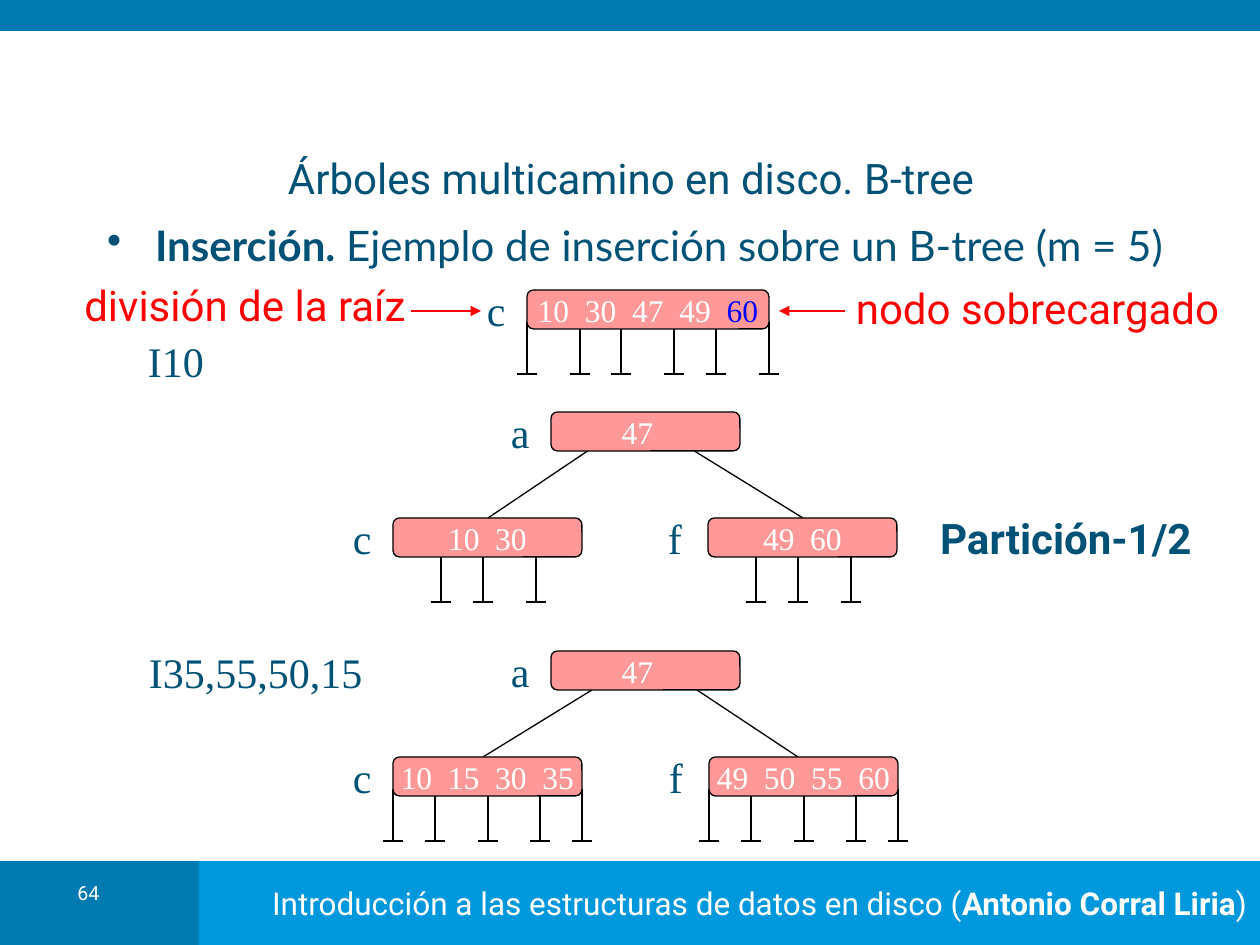
"""Build a slide showing B-tree insertion and node splitting."""
from dataclasses import dataclass

from lxml.etree import SubElement
from pptx import Presentation
from pptx.dml.color import RGBColor
from pptx.enum.shapes import MSO_CONNECTOR, MSO_SHAPE
from pptx.enum.text import MSO_ANCHOR, PP_ALIGN
from pptx.oxml.ns import qn
from pptx.shapes.base import BaseShape
from pptx.slide import Slide
from pptx.text.text import _Paragraph
from pptx.util import Emu, Pt

EMU_PER_PIXEL = 914400 / 126


@dataclass(frozen=True)
class Theme:
    dark_blue: str = "007AB1"
    light_blue: str = "0098DC"
    ink: str = "005176"
    white: str = "FFFFFF"
    black: str = "000000"
    red: str = "FF0000"
    key_blue: str = "0000FF"
    node: str = "FF9999"
    sans: str = "Roboto"
    body: str = "Lato"
    serif: str = "Times New Roman"
    large: float = 24
    medium: float = 18
    small: float = 11.2
    line: float = 0.75


THEME = Theme()


@dataclass(frozen=True)
class Box:
    left: int
    top: int
    width: int
    height: int


@dataclass(frozen=True)
class Run:
    text: str
    color: str = THEME.ink
    bold: bool = False


@dataclass(frozen=True)
class TextStyle:
    font: str = THEME.sans
    size: float = THEME.large
    align: PP_ALIGN = PP_ALIGN.CENTER
    anchor: MSO_ANCHOR = MSO_ANCHOR.MIDDLE
    wrap: bool = True
    margins: tuple[int, int, int, int] = (13, 6, 13, 6)


@dataclass(frozen=True)
class Line:
    start: tuple[int, int]
    end: tuple[int, int]
    color: str = THEME.black
    arrow: bool = False


@dataclass(frozen=True)
class Node:
    name: str
    box: Box
    keys: tuple[Run, ...]
    stems: tuple[int, ...] = ()
    right_margin: int = 0


SERIF_LABEL = TextStyle(THEME.serif, align=PP_ALIGN.LEFT, anchor=MSO_ANCHOR.TOP)
ROOT_KEYS = (Run("47", THEME.white),)
HALF_STEMS = (48, 90, 143)
FULL_STEMS = (0, 42, 95, 147, 189)

NODES = (
    Node("c", Box(527, 290, 242, 39),
         (Run("10  30  47  49  ", THEME.white), Run("60", THEME.key_blue)),
         (0, 53, 94, 147, 189, 242)),
    Node("a", Box(551, 412, 189, 39), ROOT_KEYS, right_margin=16),
    Node("c", Box(393, 518, 189, 39), (Run("10  30", THEME.white),), HALF_STEMS),
    Node("f", Box(708, 518, 189, 39), (Run("49  60", THEME.white),), HALF_STEMS),
    Node("a", Box(551, 651, 189, 39), ROOT_KEYS, right_margin=16),
    Node("c", Box(393, 757, 189, 39), (Run("10  15  30  35", THEME.white),), FULL_STEMS),
    Node("f", Box(709, 757, 189, 39), (Run("49  50  55  60", THEME.white),), FULL_STEMS),
)

LINES = (
    Line((598, 444), (488, 518)),
    Line((683, 444), (803, 518)),
    Line((592, 690), (483, 757)),
    Line((697, 690), (798, 757)),
    Line((845, 311), (779, 311), THEME.red, True),
    Line((411, 311), (481, 311), THEME.red, True),
)

LABELS = (
    (Box(105, 151, 1052, 53), Run("Árboles multicamino en disco. B-tree"),
     TextStyle(margins=(0, 0, 0, 0))),
    (Box(916, 506, 300, 63), Run("Partición-1/2", bold=True), TextStyle()),
    (Box(842, 251, 391, 113), Run("nodo sobrecargado", THEME.red), TextStyle()),
    (Box(68, 248, 354, 113), Run("división de la raíz", THEME.red), TextStyle()),
    (Box(135, 330, 98, 63), Run("I10"), SERIF_LABEL),
    (Box(136, 641, 242, 63), Run("I35,55,50,15"), SERIF_LABEL),
)


def pixels(value: int) -> Emu:
    return Emu(round(value * EMU_PER_PIXEL))


def bounds(box: Box) -> tuple[Emu, ...]:
    return tuple(pixels(value) for value in (box.left, box.top, box.width, box.height))


def color_of(value: str) -> RGBColor:
    return RGBColor.from_string(value)


def write_text(shape: BaseShape, runs: tuple[Run, ...], style: TextStyle) -> _Paragraph:
    frame = shape.text_frame
    frame.word_wrap = style.wrap
    frame.vertical_anchor = style.anchor
    (frame.margin_left, frame.margin_top,
     frame.margin_right, frame.margin_bottom) = map(pixels, style.margins)
    paragraph = frame.paragraphs[0]
    paragraph.alignment = style.align
    for item in runs:
        run = paragraph.add_run()
        run.text = item.text
        run.font.name = style.font
        run.font.size = Pt(style.size)
        run.font.bold = item.bold
        run.font.color.rgb = color_of(item.color)
    return paragraph


def add_text(slide: Slide, box: Box, runs: tuple[Run, ...], style: TextStyle) -> _Paragraph:
    return write_text(slide.shapes.add_textbox(*bounds(box)), runs, style)


def add_panel(slide: Slide, box: Box, fill: str,
              kind: MSO_SHAPE = MSO_SHAPE.RECTANGLE) -> BaseShape:
    shape = slide.shapes.add_shape(kind, *bounds(box))
    shape.shadow.inherit = False
    shape.fill.solid()
    shape.fill.fore_color.rgb = color_of(fill)
    shape.line.fill.background()
    return shape


def add_line(slide: Slide, line: Line) -> None:
    connector = slide.shapes.add_connector(
        MSO_CONNECTOR.STRAIGHT, *map(pixels, line.start + line.end))
    connector.line.color.rgb = color_of(line.color)
    connector.line.width = Pt(THEME.line)
    if line.arrow:
        SubElement(connector.line._get_or_add_ln(), qn("a:tailEnd"), type="triangle")
    SubElement(connector._element.spPr, qn("a:effectLst"))


def add_node(slide: Slide, node: Node) -> None:
    box = node.box
    for offset in node.stems:
        center, foot = box.left + offset, box.top + 84
        add_line(slide, Line((center, box.top + 32), (center, foot)))
        add_line(slide, Line((center - 10, foot), (center + 10, foot)))
    shape = add_panel(slide, box, THEME.node, MSO_SHAPE.ROUNDED_RECTANGLE)
    shape.line.color.rgb = color_of(THEME.black)
    shape.line.width = Pt(THEME.line)
    write_text(shape, node.keys, TextStyle(
        THEME.serif, THEME.medium, wrap=False, margins=(0, 6, node.right_margin, 6)))
    add_text(slide, Box(box.left - 53, box.top - 11, 42, 63), (Run(node.name),), SERIF_LABEL)


def add_frame(slide: Slide) -> None:
    add_panel(slide, Box(0, 861, 231, 84), THEME.dark_blue)
    footer = add_panel(slide, Box(199, 861, 1061, 84), THEME.light_blue)
    write_text(footer, (
        Run("Introducción a las estructuras de datos en disco (", THEME.white),
        Run("Antonio Corral Liria", THEME.white, True),
        Run(")", THEME.white),
    ), TextStyle(size=THEME.medium, align=PP_ALIGN.RIGHT, wrap=False))
    add_panel(slide, Box(0, 0, 1260, 31), THEME.dark_blue)
    number = add_text(slide, Box(44, 879, 89, 40), (Run("64", THEME.white),),
                      TextStyle(size=THEME.small, anchor=MSO_ANCHOR.TOP))
    number.line_spacing = 0.8


def add_bullet(slide: Slide) -> None:
    paragraph = add_text(slide, Box(94, 214, 1140, 645), (
        Run("Inserción.", bold=True),
        Run(" Ejemplo de inserción sobre un B-tree (m = 5)"),
    ), TextStyle(THEME.body, align=PP_ALIGN.LEFT, anchor=MSO_ANCHOR.TOP))
    properties = paragraph._p.get_or_add_pPr()
    properties.set("marL", str(pixels(48)))
    properties.set("indent", str(pixels(-48)))
    bullet_color = SubElement(properties, qn("a:buClr"))
    SubElement(bullet_color, qn("a:srgbClr"), val=THEME.ink)
    SubElement(properties, qn("a:buChar"), char="•")


def main() -> None:
    presentation = Presentation()
    presentation.slide_width, presentation.slide_height = pixels(1260), pixels(945)
    slide = presentation.slides.add_slide(presentation.slide_layouts[6])
    add_frame(slide)
    add_bullet(slide)
    for line in LINES:
        add_line(slide, line)
    for node in NODES:
        add_node(slide, node)
    for box, run, style in LABELS:
        add_text(slide, box, (run,), style)
    presentation.save("out.pptx")


if __name__ == "__main__":
    main()
